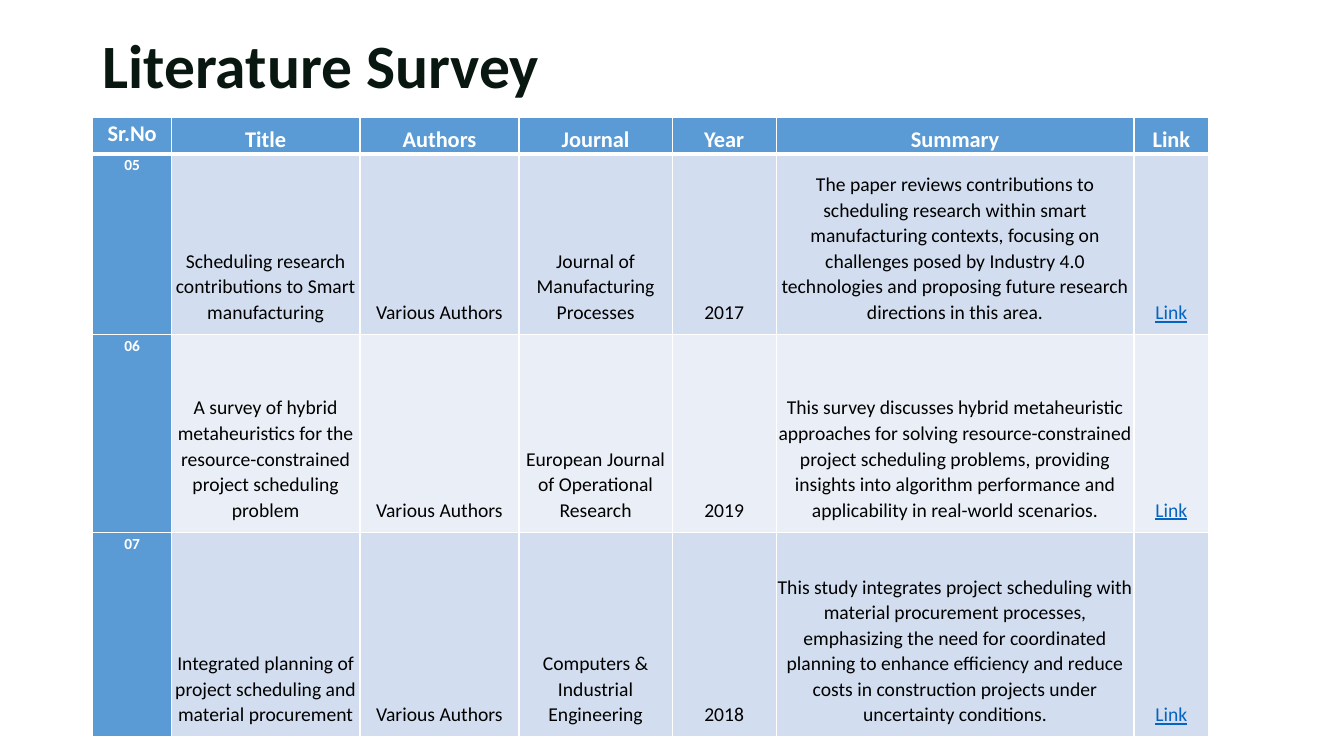
from lxml import etree
from pptx import Presentation
from pptx import util as u
from pptx.dml.color import RGBColor
from pptx.enum import text
from pptx.oxml import ns

TITLE = "Literature Survey"
HEADINGS = ("Sr.No", "Title", "Authors", "Journal", "Year", "Summary", "Link")
PAPERS = [
    ("05", "Scheduling research contributions to Smart manufacturing",
     "Various Authors", "Journal of Manufacturing Processes", "2017",
     "The paper reviews contributions to scheduling research within smart "
     "manufacturing contexts, focusing on challenges posed by Industry 4.0 "
     "technologies and proposing future research directions in this area.", "Link"),
    ("06", "A survey of hybrid metaheuristics for the resource-constrained "
     "project scheduling problem",
     "Various Authors", "European Journal of Operational Research", "2019",
     "This survey discusses hybrid metaheuristic approaches for solving "
     "resource-constrained project scheduling problems, providing insights into "
     "algorithm performance and applicability in real-world scenarios.", "Link"),
    ("07", "Integrated planning of project scheduling and material procurement",
     "Various Authors", "Computers & Industrial Engineering", "2018",
     "This study integrates project scheduling with material procurement "
     "processes, emphasizing the need for coordinated planning to enhance "
     "efficiency and reduce costs in construction projects under uncertainty "
     "conditions.", "Link"),
]
COLUMN_WIDTHS = (1.98, 4.75, 4.01, 3.86, 2.62, 9.02, 1.88)
ROW_HEIGHTS = (0.91, 4.55, 4.98, 5.16)
LEFT, TABLE_TOP = 2.34, 2.97
SIDE_INSET, BODY_INSET = 0.02, 0.25
THEME = {
    "font": "Calibri",
    "title": "08170F", "white": "FFFFFF", "body": "000000", "link": "0563C1",
    "accent": "5B9BD5", "bands": ("D2DEEF", "EAEFF7"),
    "title_size": 44, "heading_size": 16, "number_size": 11, "body_size": 14,
    "thin": 1, "thick": 3,
}


def write(frame, words, size, color, bold=False, underline=None,
          align=text.PP_ALIGN.CENTER, line=1.07, gap=12):
    para = frame.paragraphs[0]
    para.alignment = align
    para.line_spacing = line
    para.space_before = para.space_after = u.Pt(gap)
    span = para.add_run()
    span.text = words
    font = span.font
    font.name, font.size = THEME["font"], u.Pt(size)
    font.bold, font.underline = bold, underline
    font.color.rgb = RGBColor.from_string(color)


def draw_borders(cell, top, bottom):
    properties = cell._tc.get_or_add_tcPr()
    sides = {"L": THEME["thin"], "R": THEME["thin"], "T": top, "B": bottom}
    for side, width in sides.items():
        border = etree.SubElement(properties, ns.qn("a:ln" + side), w=str(u.Pt(width)))
        fill = etree.SubElement(border, ns.qn("a:solidFill"))
        etree.SubElement(fill, ns.qn("a:srgbClr"), val=THEME["white"])


def fill_cell(cell, words, row, column):
    heading, number = row == 0, column == 0
    strong = heading or number
    link = not heading and column == len(HEADINGS) - 1
    cell.margin_left = cell.margin_right = u.Cm(SIDE_INSET)
    cell.margin_top = cell.margin_bottom = u.Cm(SIDE_INSET if strong else BODY_INSET)
    cell.vertical_anchor = text.MSO_ANCHOR.TOP if number else text.MSO_ANCHOR.BOTTOM
    draw_borders(cell, THEME["thick"] if row == 1 else THEME["thin"],
                 THEME["thick"] if heading else THEME["thin"])
    cell.fill.solid()
    cell.fill.fore_color.rgb = RGBColor.from_string(
        THEME["accent"] if strong else THEME["bands"][(row - 1) % 2])
    kind = "heading" if heading else "number" if number else "body"
    color = THEME["white"] if strong else THEME["link"] if link else THEME["body"]
    write(cell.text_frame, words, THEME[kind + "_size"], color,
          bold=strong, underline=link or None)


def main():
    deck = Presentation()
    deck.slide_width, deck.slide_height = u.Cm(33.87), u.Cm(19.05)
    page = deck.slides.add_slide(deck.slide_layouts[6])

    box = page.shapes.add_textbox(u.Cm(LEFT), u.Cm(0.51), u.Cm(29.21), u.Cm(2.46))
    box.text_frame.word_wrap = True
    box.text_frame.vertical_anchor = text.MSO_ANCHOR.MIDDLE
    write(box.text_frame, TITLE, THEME["title_size"], THEME["title"], bold=True,
          align=text.PP_ALIGN.LEFT, line=0.9, gap=0)

    rows = [HEADINGS, *PAPERS]
    table = page.shapes.add_table(
        len(rows), len(HEADINGS), u.Cm(LEFT), u.Cm(TABLE_TOP),
        u.Cm(sum(COLUMN_WIDTHS)), u.Cm(sum(ROW_HEIGHTS))).table
    for column, width in zip(table.columns, COLUMN_WIDTHS):
        column.width = u.Cm(width)
    for row, height in zip(table.rows, ROW_HEIGHTS):
        row.height = u.Cm(height)
    for row, entries in enumerate(rows):
        for column, words in enumerate(entries):
            fill_cell(table.cell(row, column), words, row, column)

    deck.save("out.pptx")


if __name__ == "__main__":
    main()
